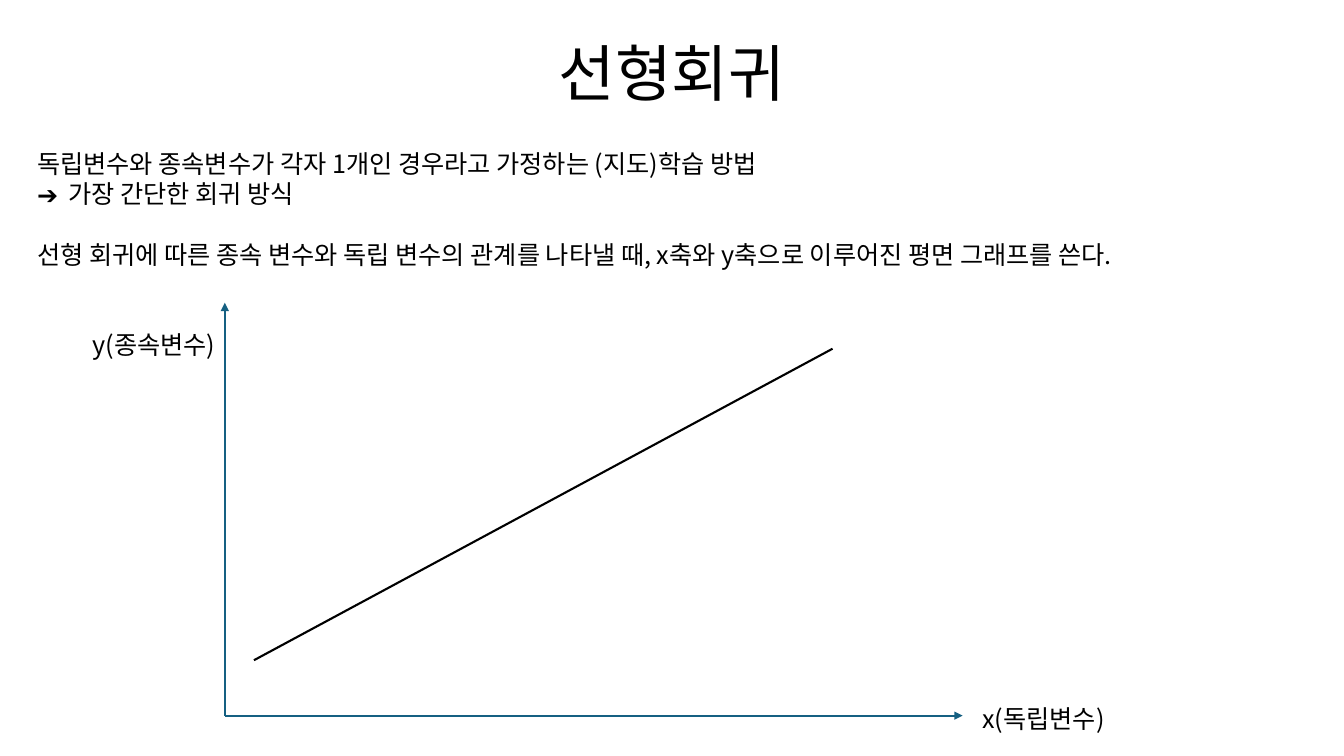
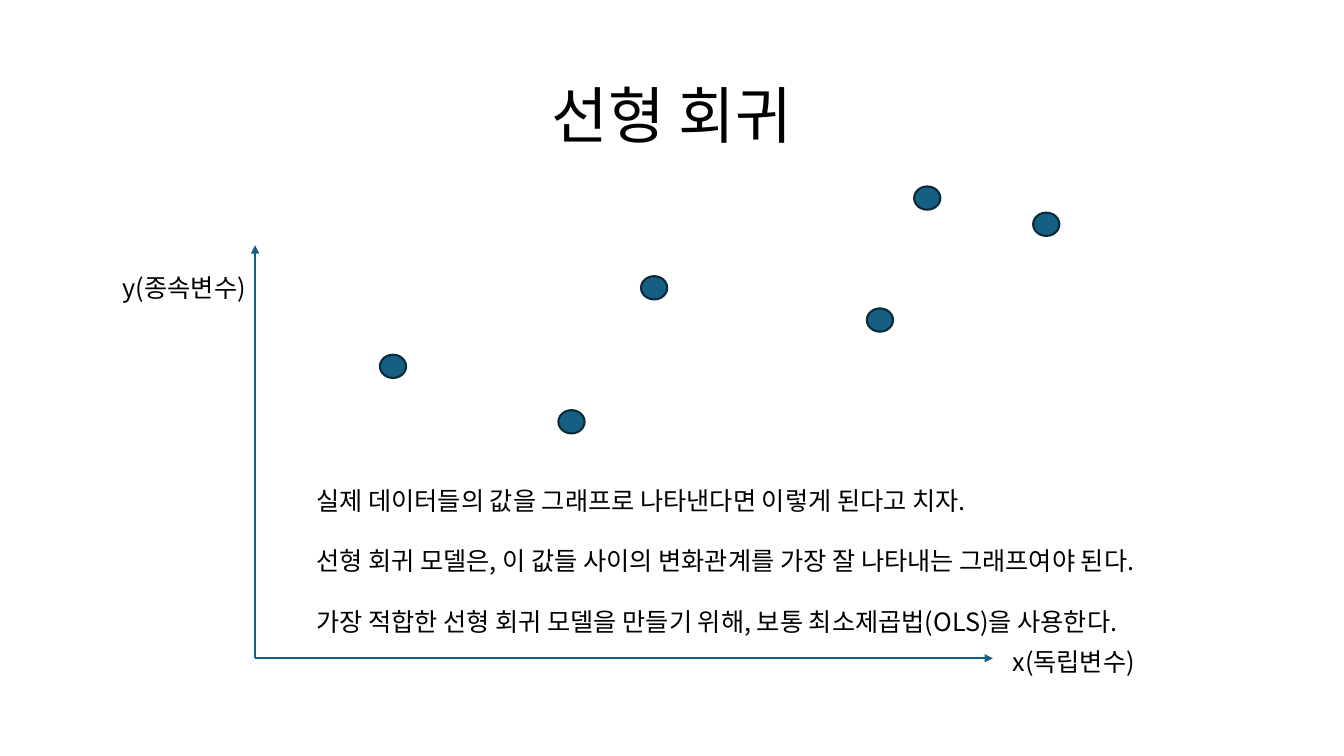
from dataclasses import dataclass

from lxml import etree
from pptx import Presentation
from pptx.dml.color import RGBColor
from pptx.enum import shapes, text
from pptx.oxml import ns
from pptx.util import Pt


@dataclass(frozen=True)
class Theme:
    font: str = "Noto Sans CJK KR"
    ink: RGBColor = RGBColor(0x00, 0x00, 0x00)
    accent: RGBColor = RGBColor(0x15, 0x60, 0x82)
    outline: RGBColor = RGBColor(0x09, 0x2A, 0x39)
    title_size: float = 44
    title_leading: float = 54
    body_size: float = 18
    body_leading: float = 21.7
    line_width: float = 1.5


theme = Theme()


def add_text(slide, left, top, width, height, lines, size=theme.body_size,
             leading=theme.body_leading, centred=False):
    """Add a text box; each line is (text, space before, bullet or None)."""
    box = slide.shapes.add_textbox(Pt(left), Pt(top), Pt(width), Pt(height))
    frame = box.text_frame
    frame.word_wrap = True
    if centred:
        frame.vertical_anchor = text.MSO_ANCHOR.MIDDLE
    for index, (words, space_before, bullet) in enumerate(lines):
        paragraph = frame.add_paragraph() if index else frame.paragraphs[0]
        paragraph.alignment = text.PP_ALIGN.CENTER if centred else text.PP_ALIGN.LEFT
        paragraph.line_spacing = Pt(leading)
        paragraph.space_before = Pt(space_before)
        run = paragraph.add_run()
        run.text = words
        run.font.name = theme.font
        run.font.size = Pt(size)
        run.font.color.rgb = theme.ink
        east_asian = etree.SubElement(run.font._element, ns.qn("a:ea"))
        east_asian.set("typeface", theme.font)
        if bullet:
            properties = paragraph._p.get_or_add_pPr()
            properties.set("marL", str(Pt(22.5)))
            properties.set("indent", str(-Pt(22.5)))
            etree.SubElement(properties, ns.qn("a:buFont")).set("typeface", theme.font)
            etree.SubElement(properties, ns.qn("a:buChar")).set("char", bullet)


def add_line(slide, start, end, color, arrow=False):
    line = slide.shapes.add_connector(
        shapes.MSO_CONNECTOR.STRAIGHT, *[Pt(value) for value in (*start, *end)])
    line.line.color.rgb = color
    line.line.width = Pt(theme.line_width)
    if arrow:
        etree.SubElement(line.line._get_or_add_ln(), ns.qn("a:tailEnd")).set("type", "triangle")
    etree.SubElement(line._element.spPr, ns.qn("a:effectLst"))


presentation = Presentation()
presentation.slide_width = Pt(960)
presentation.slide_height = Pt(540)
blank_layout = presentation.slide_layouts[6]

# Shared parts: title, two axes and their labels, placed from the origin
slides = []
for title, title_top, (x, y) in [
    ("선형회귀", -1.4, (160.6, 511.2)),
    ("선형 회귀", 28.8, (182.2, 470.2)),
]:
    slide = presentation.slides.add_slide(blank_layout)
    add_text(slide, 66, title_top, 828, 104.4, [(title, 0, None)],
             theme.title_size, theme.title_leading, centred=True)
    for end in [(x, y - 295), (x + 527, y)]:
        add_line(slide, (x, y), end, theme.accent, arrow=True)
    for label, left, top in [
        ("x(독립변수)", x + 534, y - 12.2),
        ("y(종속변수)", x - 101.5, y - 279.4),
    ]:
        add_text(slide, left, top, 139, 29, [(label, 0, None)])
    slides.append(slide)
line_slide, scatter_slide = slides

# Slide 1: explanation and regression line
add_text(line_slide, 19.4, 102.2, 934.6, 181.4, [
    ("독립변수와 종속변수가 각자 1개인 경우라고 가정하는 (지도)학습 방법", 0, None),
    ("가장 간단한 회귀 방식", 0, "➔"),
    ("선형 회귀에 따른 종속 변수와 독립 변수의 관계를 나타낼 때, "
     "x축와 y축으로 이루어진 평면 그래프를 쓴다.", theme.body_leading, None),
])
add_line(line_slide, (181.4, 471.6), (594.7, 249.1), theme.ink)

# Slide 2: data points
for left, top in [(271.4, 253.4), (457.9, 197.3), (398.9, 293),
                  (619.2, 220.3), (653, 133.2), (738, 151.9)]:
    point = scatter_slide.shapes.add_shape(
        shapes.MSO_SHAPE.OVAL, Pt(left), Pt(top), Pt(18.7), Pt(16.6))
    point.shadow.inherit = False
    point.fill.solid()
    point.fill.fore_color.rgb = theme.accent
    point.line.color.rgb = theme.outline
    point.line.width = Pt(theme.line_width)

# Slide 2: explanation
add_text(scatter_slide, 218.9, 342.7, 715, 116.6, [
    ("실제 데이터들의 값을 그래프로 나타낸다면 이렇게 된다고 치자.", 0, None),
    ("선형 회귀 모델은, 이 값들 사이의 변화관계를 가장 잘 나타내는 그래프여야 된다.",
     theme.body_leading, None),
    ("가장 적합한 선형 회귀 모델을 만들기 위해, 보통 최소제곱법(OLS)을 사용한다.",
     theme.body_leading, None),
])

presentation.save("out.pptx")
